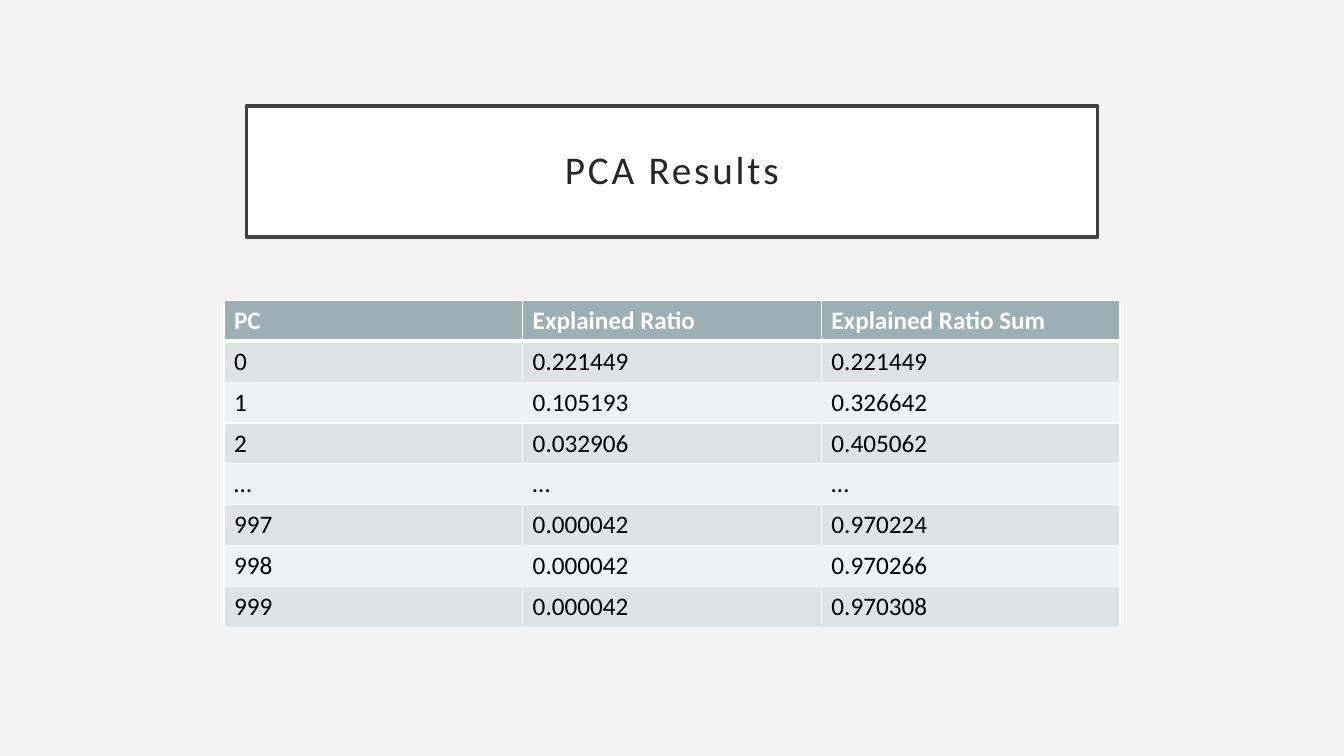
from pptx import Presentation
from pptx import util as u
from pptx.dml import color
from pptx.enum import text
from pptx.oxml import ns
from lxml import etree

COLUMNS, ROWS = 120, 150
RESULTS = [
    ("PC", "Explained Ratio", "Explained Ratio Sum"),
    ("0", "0.221449", "0.221449"),
    ("1", "0.105193", "0.326642"),
    ("2", "0.032906", "0.405062"),
    ("…", "…", "…"),
    ("997", "0.000042", "0.970224"),
    ("998", "0.000042", "0.970266"),
    ("999", "0.000042", "0.970308"),
]


def rgb(value):
    return color.RGBColor.from_string(value)


class SlideBuilder:
    font = "Calibri"
    white = "FFFFFF"
    header = "9BAFB5"
    bands = ("EFF2F3", "DEE3E5")

    def __init__(self, presentation):
        self.column = presentation.slide_width / COLUMNS
        self.row = presentation.slide_height / ROWS
        self.slide = presentation.slides.add_slide(presentation.slide_layouts[5])

    def box(self, left, top, width, height):
        return (round(left * self.column), round(top * self.row),
                round(width * self.column), round(height * self.row))

    def background(self, fill):
        background = self.slide.background.fill
        background.solid()
        background.fore_color.rgb = rgb(fill)

    def format(self, paragraph, size, ink, bold=False):
        for run in paragraph.runs:
            run.font.name = self.font
            run.font.size = u.Pt(size)
            run.font.bold = bold
            run.font.color.rgb = rgb(ink)

    def title(self, wording, *place):
        shape = self.slide.shapes.title
        shape.left, shape.top, shape.width, shape.height = self.box(*place)
        shape.fill.solid()
        shape.fill.fore_color.rgb = rgb(self.white)
        shape.line.color.rgb = rgb("404040")
        shape.line.width = u.Pt(2.5)
        frame = shape.text_frame
        frame.text = wording
        frame.word_wrap = True
        frame.auto_size = text.MSO_AUTO_SIZE.NONE
        frame.vertical_anchor = text.MSO_ANCHOR.MIDDLE
        frame.margin_left = frame.margin_right = u.Inches(0.2)
        frame.margin_top = frame.margin_bottom = u.Inches(0.2)
        paragraph = frame.paragraphs[0]
        paragraph.alignment = text.PP_ALIGN.CENTER
        paragraph.line_spacing = 0.9
        self.format(paragraph, 28, "262626")
        paragraph.runs[0].font._element.set("spc", "200")

    def border(self, cell, side, points):
        properties = cell._tc.get_or_add_tcPr()
        line = etree.SubElement(properties, ns.qn(f"a:ln{side}"), w=str(u.Pt(points)))
        fill = etree.SubElement(line, ns.qn("a:solidFill"))
        etree.SubElement(fill, ns.qn("a:srgbClr"), val=self.white)

    def table(self, records, *place):
        left, top, width, height = self.box(*place)
        table = self.slide.shapes.add_table(
            len(records), len(records[0]), left, top, width, height).table
        for index, record in enumerate(records):
            is_header = index == 0
            for position, wording in enumerate(record):
                cell = table.cell(index, position)
                cell.text_frame.text = wording
                self.format(cell.text_frame.paragraphs[0], 18,
                            self.white if is_header else "000000", is_header)
                for side in "LRTB":
                    heavy = (index, side) in ((0, "B"), (1, "T"))
                    self.border(cell, side, 3 if heavy else 1)
                cell.fill.solid()
                cell.fill.fore_color.rgb = rgb(
                    self.header if is_header else self.bands[index % 2])


def main():
    presentation = Presentation()
    presentation.slide_width = u.Inches(13.33)
    presentation.slide_height = u.Inches(7.5)
    builder = SlideBuilder(presentation)
    builder.background("F2F2F2")
    builder.title("PCA Results", 22, 21, 76, 26)
    builder.table(RESULTS, 20, 59.6, 80, 64.8)
    presentation.save("out.pptx")


if __name__ == "__main__":
    main()
